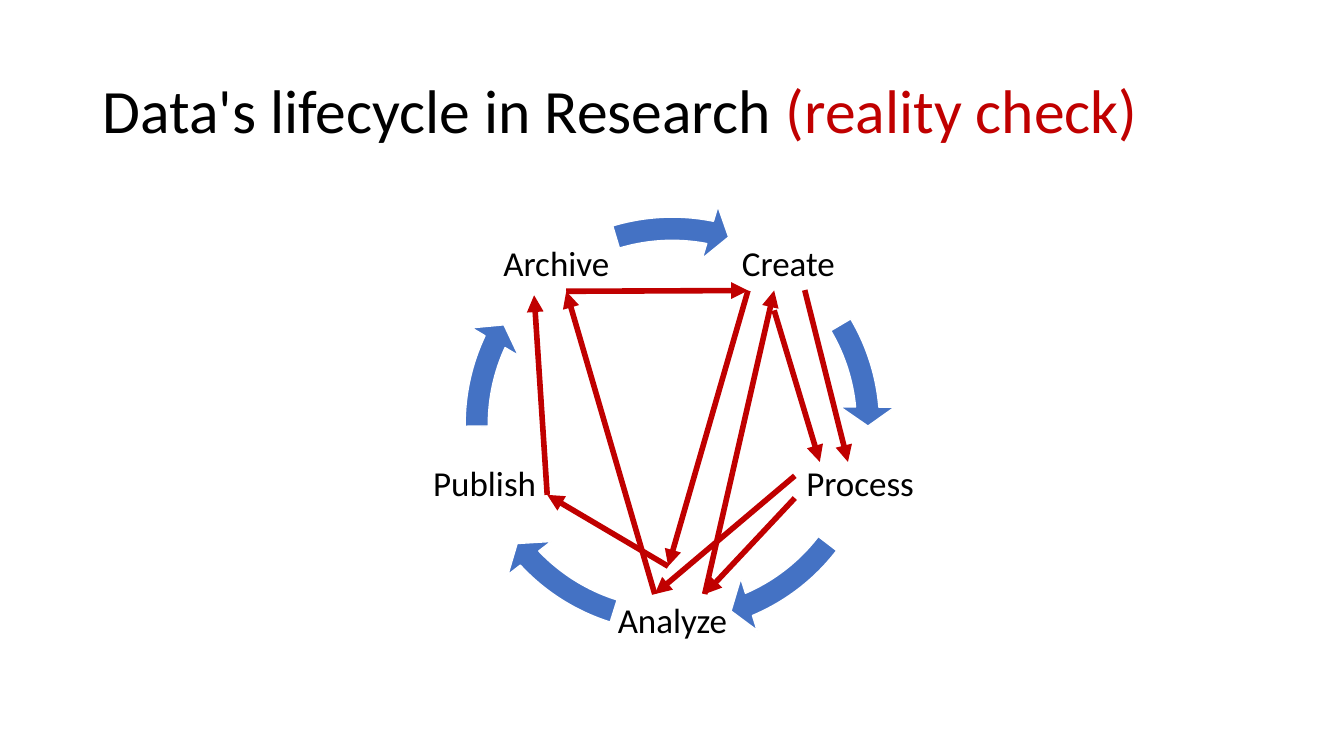
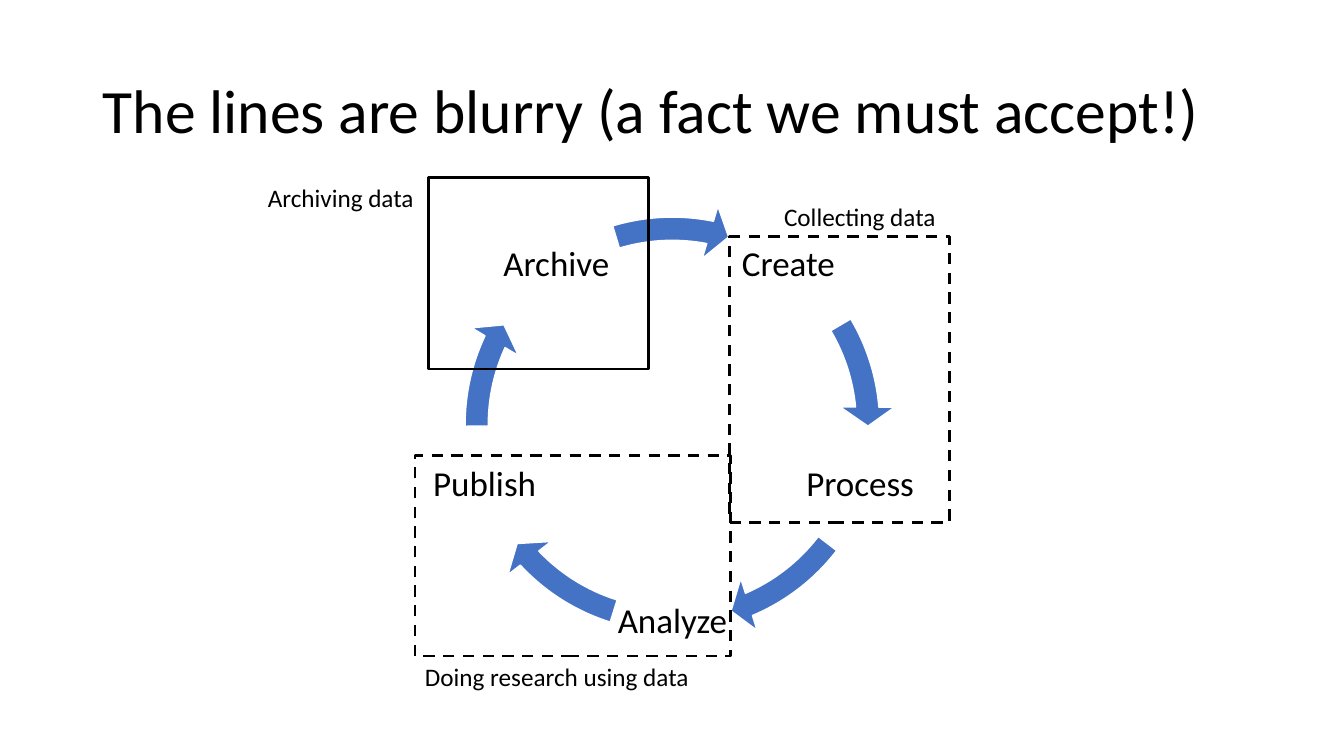
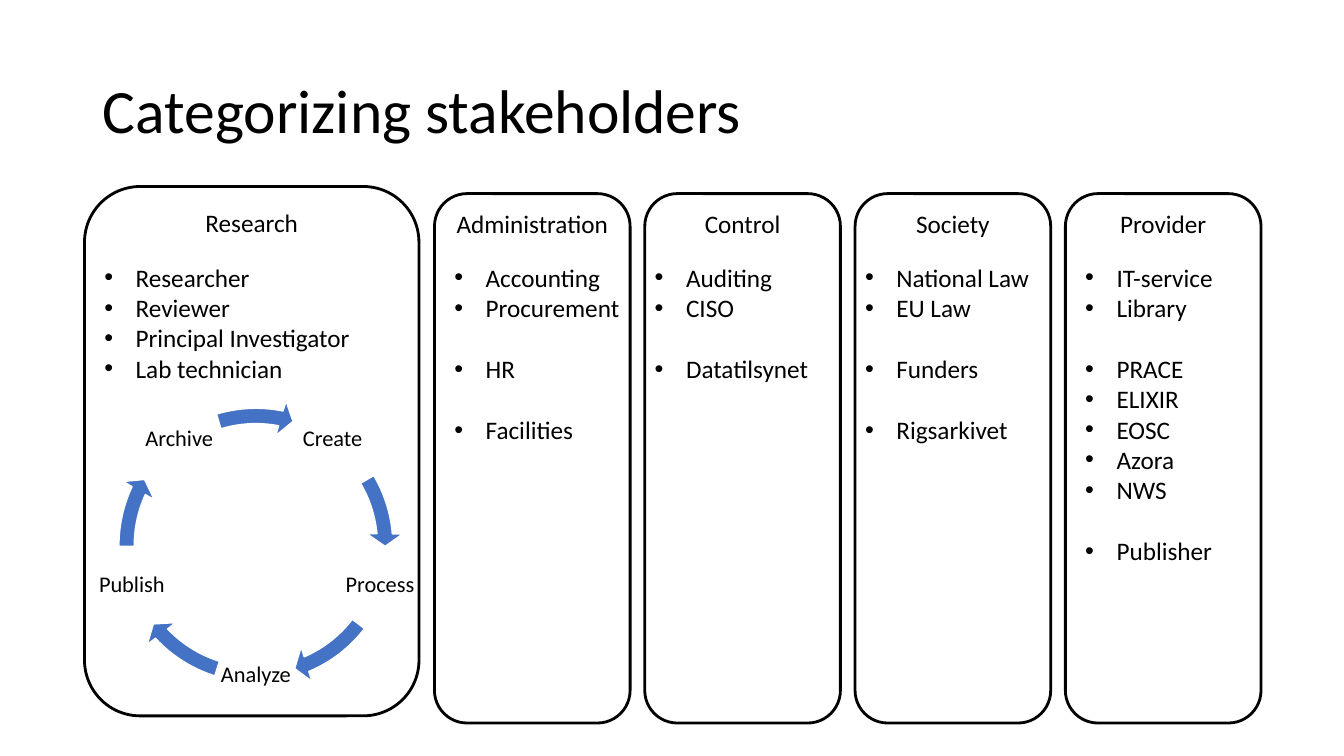
from itertools import pairwise
from math import cos, radians, sin

from lxml.etree import SubElement
from pptx import Presentation
from pptx.dml.color import RGBColor
from pptx.enum.dml import MSO_LINE
from pptx.enum.shapes import MSO_CONNECTOR, MSO_SHAPE
from pptx.enum.text import MSO_ANCHOR, PP_ALIGN
from pptx.oxml.ns import qn
from pptx.util import Cm, Pt

FONT = "Calibri"
BLACK, WHITE, BLUE, RED = "000000", "FFFFFF", "4472C4", "C00000"
TITLE_BOX = (2.34, 1.02, 29.21, 3.68)
RING_BOX = (11.33, 5.08, 11.23)
STAGES = ["Create", "Process", "Analyze", "Publish", "Archive"]
ARROW_ANGLES = [(329.41, 354.92), (37.52, 66.95), (107.46, 136.89),
                (179.49, 205), (253.28, 281.13)]
DETOURS = [
    [(8.95, 2.23), (10.04, 6.56)],
    [(8.7, 7.47), (6.43, 9.89), (8.18, 2.24)],
    [(8.18, 2.74), (9.33, 6.56)],
    [(8.7, 6.91), (5.17, 9.89), (2.94, 2.26), (7.52, 2.24),
     (5.51, 9.19), (2.46, 7.39), (2.13, 2.36)],
]
FRAMES = [
    ("Collecting data", (7.06, 0.89, 5.54, 7.19), (8.18, -0.13, 4.4, 1.02), True),
    ("Doing research using data", (-0.87, 6.4, 7.95, 5.05), (-0.87, 11.46, 7.24, 1.02), True),
    ("Archiving data", (-0.53, -0.61, 5.54, 4.83), (-4.83, -0.61, 4.24, 1.02), False),
]
RESEARCH = [["Researcher", "Reviewer", "Principal Investigator", "Lab technician"]]
COLUMNS = [
    ("Administration", 0.25, [["Accounting", "Procurement"], ["HR"], ["Facilities"]]),
    ("Control", 0, [["Auditing", "CISO"], ["Datatilsynet"]]),
    ("Society", 0, [["National Law", "EU Law"], ["Funders"], ["Rigsarkivet"]]),
    ("Provider", 0.25, [["IT-service", "Library"],
                        ["PRACE", "ELIXIR", "EOSC", "Azora", "NWS"], ["Publisher"]]),
]
COLUMN_LEFT, COLUMN_TOP, COLUMN_STEP = 10.95, 4.88, 5.3
COLUMN_WIDTH, COLUMN_HEIGHT = 4.93, 13.34
LIST_TOP = 6.48


def rgb(value):
    """Turn a hex string into a colour."""
    return RGBColor.from_string(value)


def add_run(p, text, size, color=BLACK):
    """Append one formatted run to a paragraph."""
    r = p.add_run()
    r.text = text
    r.font.name, r.font.size = FONT, Pt(size)
    r.font.color.rgb = rgb(color)


def add_text_box(s, box, anchor=MSO_ANCHOR.TOP, wrap=True):
    """Add an empty text box and return its text frame."""
    tf = s.shapes.add_textbox(*map(Cm, box)).text_frame
    tf.word_wrap, tf.vertical_anchor = wrap, anchor
    return tf


def add_shape(s, kind, box, fill=None, line=BLACK, width=2):
    """Add a preset shape without a shadow."""
    sp = s.shapes.add_shape(kind, *map(Cm, box))
    sp.shadow.inherit = False
    if fill:
        sp.fill.solid()
        sp.fill.fore_color.rgb = rgb(fill)
    else:
        sp.fill.background()
    sp.line.color.rgb, sp.line.width = rgb(line), Pt(width)
    return sp


def add_slide(prs, *title):
    """Add a blank slide with a title made of (text, colour) runs."""
    s = prs.slides.add_slide(prs.slide_layouts[6])
    p = add_text_box(s, TITLE_BOX, MSO_ANCHOR.MIDDLE).paragraphs[0]
    p.line_spacing = 0.9
    for text, color in title:
        add_run(p, text, 44, color)
    return s


def add_ring(s, left, top, size, font_size):
    """Draw the five-stage cycle inside a square box."""
    side, radius = size * 0.267, size * 0.443
    for i, (stage, (start, end)) in enumerate(zip(STAGES, ARROW_ANGLES)):
        angle = radians(72 * i - 54)
        x = left + size / 2 + radius * cos(angle) - side / 2
        y = top + size / 2 + radius * sin(angle) - side / 2
        tf = add_text_box(s, (x, y, side, side), MSO_ANCHOR.MIDDLE)
        tf.margin_left = tf.margin_right = tf.margin_top = tf.margin_bottom = Cm(0.08)
        p = tf.paragraphs[0]
        p.alignment, p.line_spacing = PP_ALIGN.CENTER, 0.9
        add_run(p, stage, font_size)
        sp = add_shape(s, MSO_SHAPE.CIRCULAR_ARROW, (left, top, size, size), BLUE, WHITE, 1)
        for k, value in enumerate((0.052, 5.59 * 0.6, end * 0.6, start * 0.6, 0.061)):
            sp.adjustments[k] = value


def add_arrow(s, start, end):
    """Draw a red arrow between two points."""
    c = s.shapes.add_connector(MSO_CONNECTOR.STRAIGHT, *map(Cm, start + end))
    c.line.color.rgb, c.line.width = rgb(RED), Pt(4)
    props = c.element.spPr
    SubElement(props.find(qn("a:ln")), qn("a:tailEnd"), type="triangle")
    SubElement(props, qn("a:effectLst"))


def add_detours(s, left, top):
    """Draw the arrow chains relative to the ring's corner."""
    for chain in DETOURS:
        points = [(left + x, top + y) for x, y in chain]
        for start, end in pairwise(points):
            add_arrow(s, start, end)


def add_frames(s, left, top):
    """Draw the captioned frames relative to the ring's corner."""
    for caption, (x, y, w, h), (cx, cy, cw, ch), dashed in FRAMES:
        sp = add_shape(s, MSO_SHAPE.RECTANGLE, (left + x, top + y, w, h))
        if dashed:
            sp.line.dash_style = MSO_LINE.DASH
        tf = add_text_box(s, (left + cx, top + cy, cw, ch), wrap=False)
        add_run(tf.paragraphs[0], caption, 18)


def add_bullet(p):
    """Give a paragraph a hanging round bullet."""
    props = p._p.get_or_add_pPr()
    props.set("marL", str(Cm(0.79)))
    props.set("indent", str(-Cm(0.79)))
    SubElement(props, qn("a:buFont"), typeface="Arial")
    SubElement(props, qn("a:buChar"), char="•")


def add_column(s, box, name, inset, groups):
    """Draw a rounded column with a heading and grouped bullets."""
    left, _, width, height = box
    tf = add_shape(s, MSO_SHAPE.ROUNDED_RECTANGLE, box).text_frame
    tf.vertical_anchor = MSO_ANCHOR.TOP
    tf.paragraphs[0].alignment = PP_ALIGN.CENTER
    add_run(tf.paragraphs[0], name, 18)
    tf = add_text_box(s, (left + inset, LIST_TOP, width, height / 3))
    for g, group in enumerate(groups):
        for i, item in enumerate(group):
            p = tf.add_paragraph() if g or i else tf.paragraphs[0]
            add_bullet(p)
            if g and not i:
                p.space_before = Pt(22)
            add_run(p, item, 18)


def add_stakeholders(s):
    """Lay out the research panel and the four equal columns."""
    add_ring(s, 2.74, 10.03, 7.42, 16)
    add_column(s, (2.13, 4.7, 8.43, COLUMN_HEIGHT), "Research", 0.25, RESEARCH)
    for i, column in enumerate(COLUMNS):
        left = COLUMN_LEFT + i * COLUMN_STEP
        add_column(s, (left, COLUMN_TOP, COLUMN_WIDTH, COLUMN_HEIGHT), *column)


def main():
    """Build and save the presentation."""
    prs = Presentation()
    prs.slide_width, prs.slide_height = Cm(33.87), Cm(19.05)

    s = add_slide(prs, ("Data's lifecycle in Research ", BLACK), ("(reality check)", RED))
    add_ring(s, *RING_BOX, 25)
    add_detours(s, *RING_BOX[:2])

    s = add_slide(prs, ("The lines are blurry (a fact we must accept!)", BLACK))
    add_ring(s, *RING_BOX, 25)
    add_frames(s, *RING_BOX[:2])

    s = add_slide(prs, ("Categorizing stakeholders", BLACK))
    add_stakeholders(s)

    prs.save("out.pptx")


if __name__ == "__main__":
    main()
